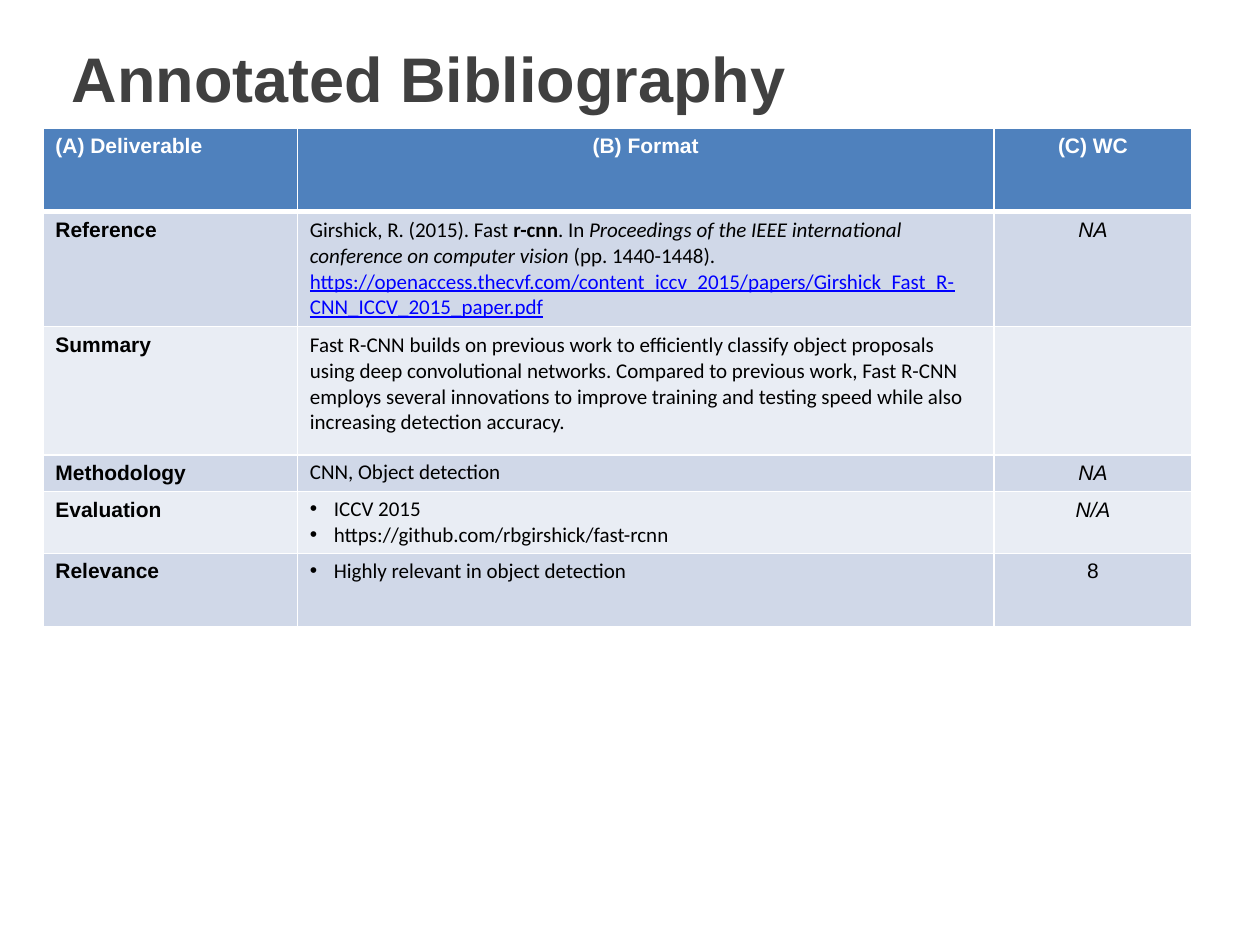
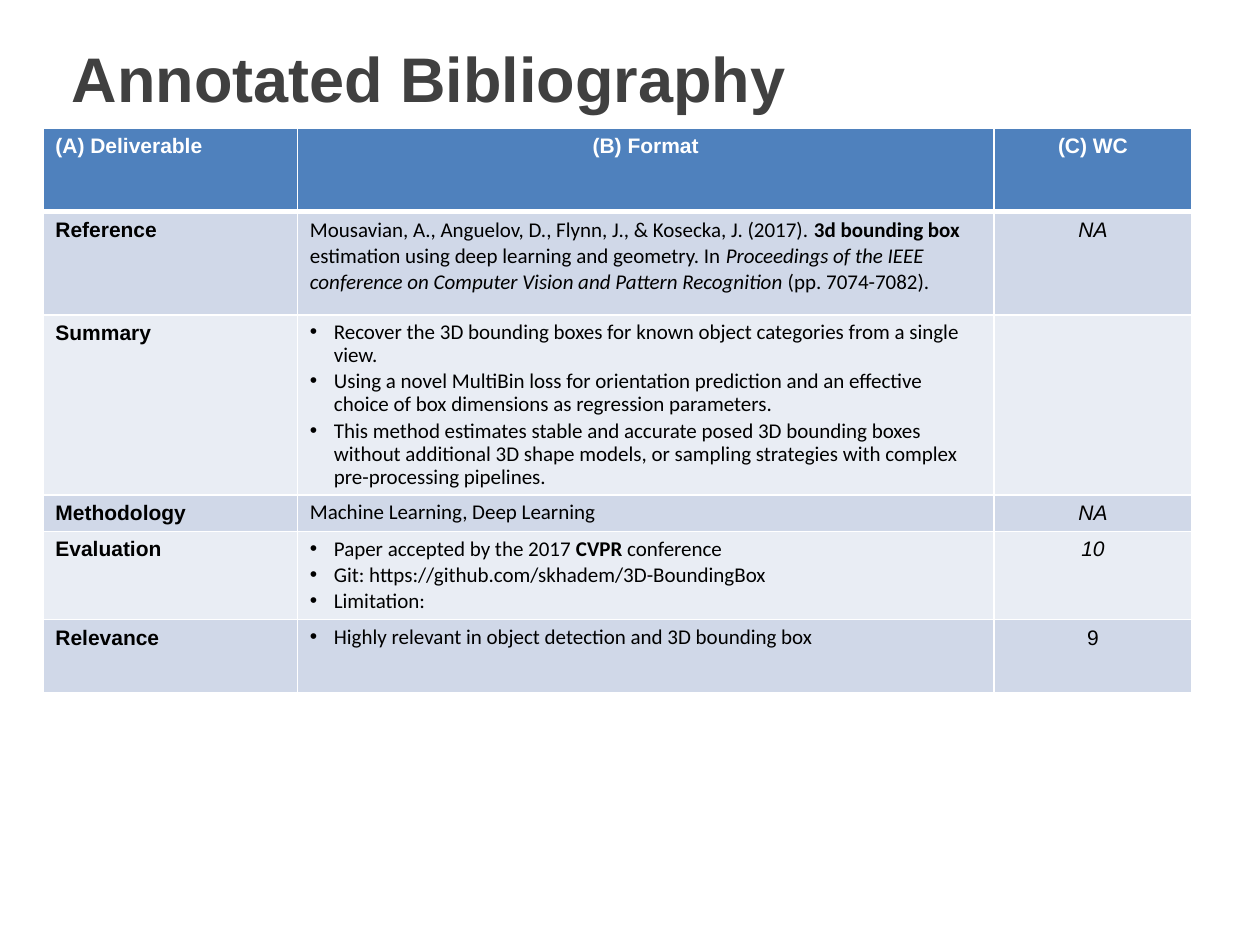
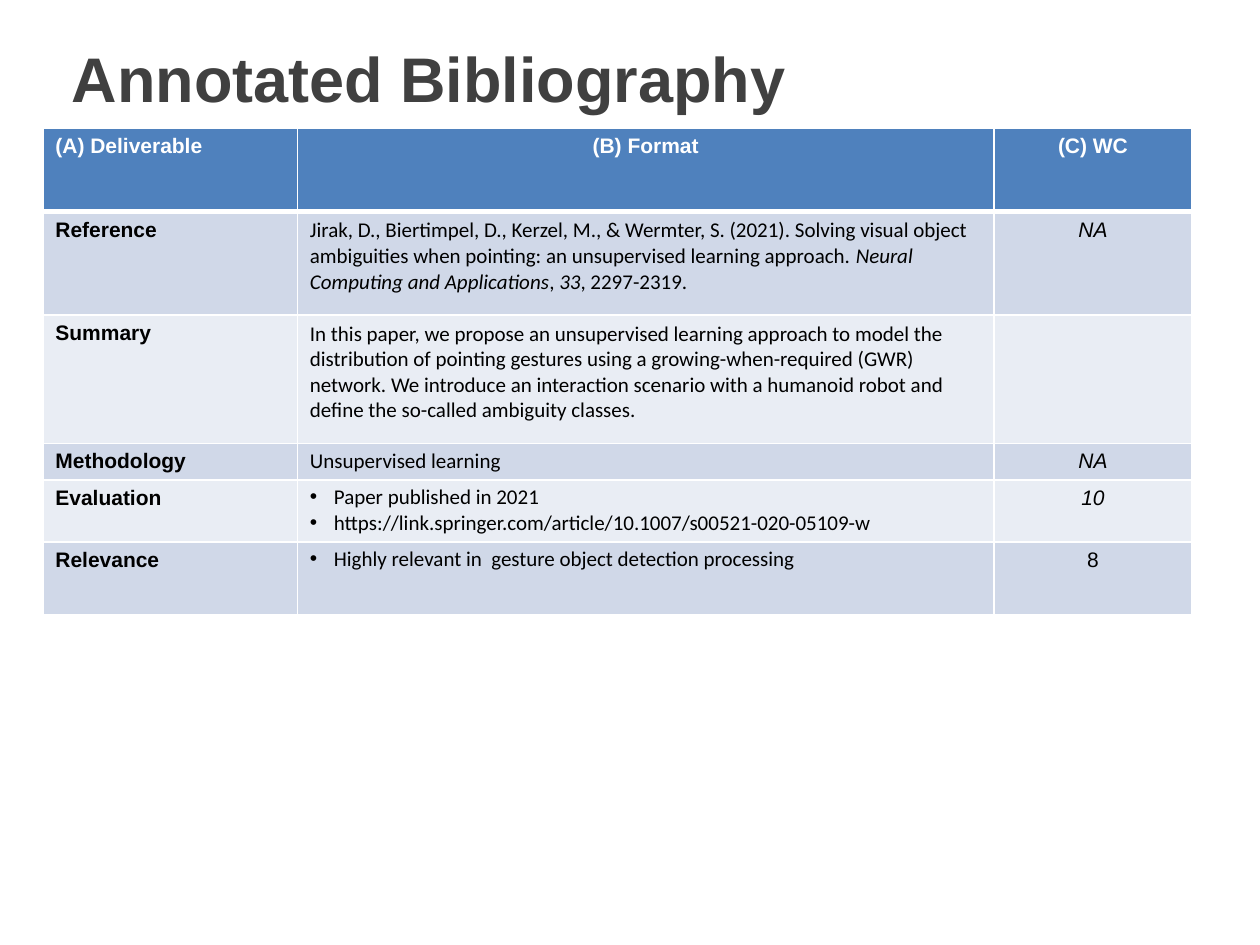
from lxml.etree import SubElement
from pptx import Presentation
from pptx.dml.color import RGBColor
from pptx.enum.text import MSO_ANCHOR as Anchor, PP_ALIGN as Align
from pptx.oxml import parse_xml
from pptx.oxml.ns import nsdecls, qn
from pptx.util import Inches, Pt

WHITE = RGBColor(0xFF, 0xFF, 0xFF)
BLACK = RGBColor(0x00, 0x00, 0x00)
TITLE_GRAY = RGBColor(0x40, 0x40, 0x40)
HEADER_BLUE = RGBColor(0x4F, 0x81, 0xBD)
DARK_BAND = RGBColor(0xD0, 0xD8, 0xE8)
LIGHT_BAND = RGBColor(0xE9, 0xED, 0xF4)
LINK_BLUE = RGBColor(0x00, 0x00, 0xFF)

HEADING_FONT = "Arial"
BODY_FONT = "Calibri"
BOLD = {"bold": True}
ITALIC = {"italic": True}
LINK = {"color": LINK_BLUE, "underline": True}

HEADINGS = ["(A) Deliverable", "(B) Format", "(C) WC"]
DELIVERABLES = ["Reference", "Summary", "Methodology", "Evaluation", "Relevance"]
TIGHT_ROWS = ("Methodology", "Evaluation", "Relevance")
COLUMN_WIDTHS = [2.02, 5.53, 1.57]
ROW_HEIGHTS = [0.66, 0.82, 1.02, 0.29, 0.41, 0.58]


def add_text(para, text, font=BODY_FONT, size=12, color=BLACK,
             bold=False, italic=False, underline=False):
    span = para.add_run()
    span.text = text
    span.font.name = font
    span.font.size = Pt(size)
    span.font.color.rgb = color
    span.font.bold = bold
    span.font.italic = italic
    span.font.underline = underline


class BibliographyDeck:
    def __init__(self):
        self.deck = Presentation()
        self.deck.slide_width = Inches(10)
        self.deck.slide_height = Inches(7.5)
        self.page = None

    def add_page(self, title):
        self.page = self.deck.slides.add_slide(self.deck.slide_layouts[5])
        box = self.page.shapes.title
        box.left, box.top = Inches(0.47), Inches(0.21)
        box.width, box.height = Inches(8.48), Inches(0.81)
        box.text_frame.vertical_anchor = Anchor.MIDDLE
        para = box.text_frame.paragraphs[0]
        para.alignment = Align.LEFT
        add_text(para, title, font=HEADING_FONT, size=36, color=TITLE_GRAY, bold=True)

    def set_cell(self, cell, fill, top=1, bottom=1):
        cell.fill.solid()
        cell.fill.fore_color.rgb = fill
        properties = cell._tc.get_or_add_tcPr()
        borders = {"lnL": 1, "lnR": 1, "lnT": top, "lnB": bottom}
        for position, (tag, width) in enumerate(borders.items()):
            properties.insert(position, parse_xml(
                f'<a:{tag} {nsdecls("a")} w="{Pt(width)}"><a:solidFill>'
                f'<a:srgbClr val="{WHITE}"/></a:solidFill></a:{tag}>'))

    def add_label(self, cell, text, align=Align.LEFT, **style):
        para = cell.text_frame.paragraphs[0]
        para.alignment = align
        add_text(para, text, font=HEADING_FONT, **style)

    def add_body(self, cell, content, tight):
        bulleted = isinstance(content, list)
        for index, spans in enumerate(content if bulleted else [content]):
            frame = cell.text_frame
            para = frame.add_paragraph() if index else frame.paragraphs[0]
            if bulleted:
                self.add_bullet(para)
            if bulleted or tight:
                para.line_spacing = 0.9
                para.space_after = Pt(1.8)
            for text, style in [(spans, {})] if isinstance(spans, str) else spans:
                add_text(para, text, **style)

    def add_bullet(self, para):
        properties = para._p.get_or_add_pPr()
        properties.set("marL", str(Inches(0.19)))
        properties.set("indent", str(-Inches(0.19)))
        SubElement(properties, qn("a:buFont")).set("typeface", "Arial")
        SubElement(properties, qn("a:buChar")).set("char", "•")

    def add_review(self, bodies, counts):
        frame = self.page.shapes.add_table(
            len(ROW_HEIGHTS), len(COLUMN_WIDTHS), Inches(0.34), Inches(1.02),
            Inches(sum(COLUMN_WIDTHS)), Inches(sum(ROW_HEIGHTS)))
        table = frame.table
        for column, width in zip(table.columns, COLUMN_WIDTHS):
            column.width = Inches(width)
        for row, height in zip(table.rows, ROW_HEIGHTS):
            row.height = Inches(height)
        for column, heading in enumerate(HEADINGS):
            cell = table.cell(0, column)
            self.set_cell(cell, HEADER_BLUE, bottom=3)
            self.add_label(cell, heading, Align.CENTER if column else Align.LEFT,
                           color=WHITE, bold=True)
        entries = zip(DELIVERABLES, bodies, counts)
        for row, (deliverable, body, count) in enumerate(entries, start=1):
            cells = [table.cell(row, column) for column in range(len(HEADINGS))]
            for cell in cells:
                self.set_cell(cell, DARK_BAND if row % 2 else LIGHT_BAND,
                              top=3 if row == 1 else 1)
            self.add_label(cells[0], deliverable, bold=True)
            self.add_body(cells[1], body, deliverable in TIGHT_ROWS)
            if count:
                self.add_label(cells[2], count, Align.CENTER,
                               italic=deliverable != "Relevance")


FAST_RCNN = (
    (
        ("Girshick, R. (2015). Fast ", {}),
        ("r-cnn", BOLD),
        (". In ", {}),
        ("Proceedings of the IEEE international conference on computer vision", ITALIC),
        (" (pp. 1440-1448). ", {}),
        ("https://openaccess.thecvf.com/content_iccv_2015/papers/"
         "Girshick_Fast_R-CNN_ICCV_2015_paper.pdf", LINK),
    ),
    "Fast R-CNN builds on previous work to efficiently classify object proposals "
    "using deep convolutional networks. Compared to previous work, Fast R-CNN "
    "employs several innovations to improve training and testing speed while also "
    "increasing detection accuracy.",
    "CNN, Object detection",
    ["ICCV 2015", "https://github.com/rbgirshick/fast-rcnn"],
    ["Highly relevant in object detection"],
)

BOUNDING_BOX = (
    (
        ("Mousavian, A., Anguelov, D., Flynn, J., & Kosecka, J. (2017). ", {}),
        ("3d bounding box ", BOLD),
        ("estimation using deep learning and geometry. In ", {}),
        ("Proceedings of the IEEE conference on Computer Vision and "
         "Pattern Recognition", ITALIC),
        (" (pp. 7074-7082).", {}),
    ),
    [
        "Recover the 3D bounding boxes for known object categories from a single view.",
        "Using a novel MultiBin loss for orientation prediction and an effective "
        "choice of box dimensions as regression parameters.",
        "This method estimates stable and accurate posed 3D bounding boxes without "
        "additional 3D shape models, or sampling strategies with complex "
        "pre-processing pipelines.",
    ],
    "Machine Learning, Deep Learning",
    [
        (("Paper accepted by the 2017 ", {}), ("CVPR", BOLD), (" conference", {})),
        "Git: https://github.com/skhadem/3D-BoundingBox",
        "Limitation:",
    ],
    ["Highly relevant in object detection and 3D bounding box"],
)

POINTING_GESTURES = (
    (
        ("Jirak, D., Biertimpel, D., Kerzel, M., & Wermter, S. (2021). Solving visual "
         "object ambiguities when pointing: an unsupervised learning approach. ", {}),
        ("Neural Computing and Applications", ITALIC),
        (", ", {}),
        ("33", ITALIC),
        (", 2297-2319.", {}),
    ),
    "In this paper, we propose an unsupervised learning approach to model the "
    "distribution of pointing gestures using a growing-when-required (GWR) network. "
    "We introduce an interaction scenario with a humanoid robot and define the "
    "so-called ambiguity classes.",
    "Unsupervised learning",
    ["Paper published in 2021",
     "https://link.springer.com/article/10.1007/s00521-020-05109-w"],
    ["Highly relevant in  gesture object detection processing"],
)

REVIEWS = [
    (FAST_RCNN, ["NA", "", "NA", "N/A", "8"]),
    (BOUNDING_BOX, ["NA", "", "NA", "10", "9"]),
    (POINTING_GESTURES, ["NA", "", "NA", "10", "8"]),
]


def main():
    bibliography = BibliographyDeck()
    for bodies, counts in REVIEWS:
        bibliography.add_page("Annotated Bibliography")
        bibliography.add_review(bodies, counts)
    bibliography.deck.save("out.pptx")


if __name__ == "__main__":
    main()
